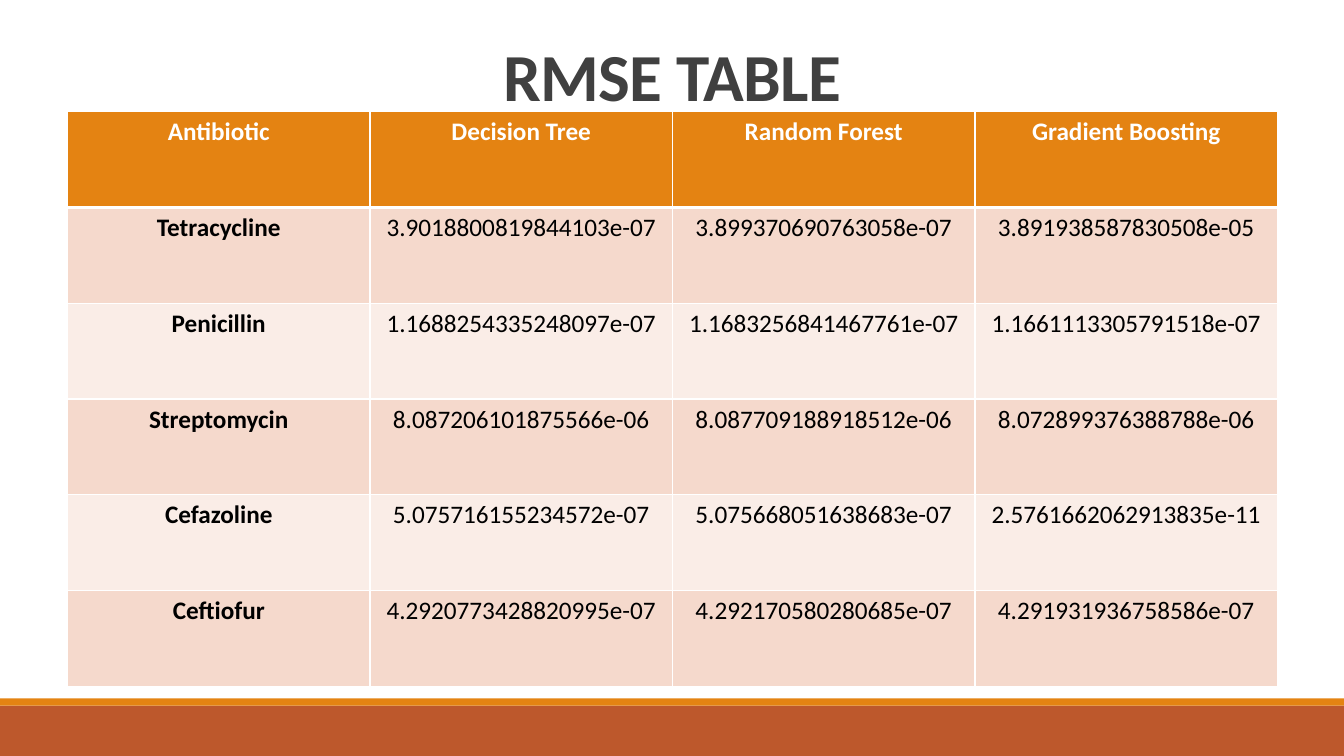
from lxml import etree
from pptx import Presentation
from pptx import util as u
from pptx.dml.color import RGBColor
from pptx.enum import shapes, text
from pptx.oxml import ns

COLORS = {"orange": "E48312", "rust": "BD582C", "dark": "404040",
          "white": "FFFFFF", "black": "000000",
          "band_odd": "F5D9CC", "band_even": "FAEDE7"}

RMSE_ROWS = [
    ("Antibiotic", "Decision Tree", "Random Forest", "Gradient Boosting"),
    ("Tetracycline", "3.9018800819844103e-07", "3.899370690763058e-07", "3.891938587830508e-05"),
    ("Penicillin", "1.1688254335248097e-07", "1.1683256841467761e-07", "1.1661113305791518e-07"),
    ("Streptomycin", "8.087206101875566e-06", "8.087709188918512e-06", "8.072899376388788e-06"),
    ("Cefazoline", "5.075716155234572e-07", "5.075668051638683e-07", "2.5761662062913835e-11"),
    ("Ceftiofur", "4.2920773428820995e-07", "4.292170580280685e-07", "4.291931936758586e-07"),
]


class SlideBuilder:
    """Holds the style and the current slide and adds each kind of element."""

    def __init__(self, prs, font="Calibri"):
        self.font = font
        self.s = prs.slides.add_slide(prs.slide_layouts[5])

    def color(self, name):
        return RGBColor.from_string(COLORS[name])

    def add_text(self, tf, words, color, line_spacing=None, **font):
        p = tf.paragraphs[0]
        p.alignment = text.PP_ALIGN.CENTER
        p.line_spacing = line_spacing
        r = p.add_run()
        r.text = words
        for name, value in {"name": self.font, **font}.items():
            setattr(r.font, name, value)
        r.font.color.rgb = self.color(color)
        return r

    def bar(self, top, height, color):
        sp = self.s.shapes.add_shape(shapes.MSO_SHAPE.RECTANGLE, 0, u.Inches(top),
                                     u.Inches(13.33), u.Inches(height))
        sp.shadow.inherit = False
        sp.fill.solid()
        sp.fill.fore_color.rgb = self.color(color)
        sp.line.fill.background()

    def title(self, words, left, top, width, height):
        sp = self.s.shapes.title
        place = {"left": left, "top": top, "width": width, "height": height}
        for name, value in place.items():
            setattr(sp, name, u.Inches(value))
        tf = sp.text_frame
        frame = {"word_wrap": True, "auto_size": text.MSO_AUTO_SIZE.NONE,
                 "vertical_anchor": text.MSO_ANCHOR.MIDDLE}
        for name, value in frame.items():
            setattr(tf, name, value)
        r = self.add_text(tf, words, "dark", 0.85, size=u.Pt(48), bold=True)
        r._r.get_or_add_rPr().set("spc", "-50")

    def borders(self, cell, widths):
        tc_pr = cell._tc.get_or_add_tcPr()
        for i, (side, width) in enumerate(widths.items()):
            ln = etree.Element(ns.qn(f"a:ln{side}"), w=str(u.Pt(width)))
            fill = etree.SubElement(ln, ns.qn("a:solidFill"))
            etree.SubElement(fill, ns.qn("a:srgbClr"), val=COLORS["white"])
            tc_pr.insert(i, ln)

    def table(self, rows, left, top, col_width, row_height):
        n_rows, n_cols = len(rows), len(rows[0])
        table = self.s.shapes.add_table(
            n_rows, n_cols, u.Inches(left), u.Inches(top),
            u.Inches(col_width * n_cols), u.Inches(row_height * n_rows)).table
        for i, row in enumerate(rows):
            fill = "orange" if i == 0 else "band_odd" if i % 2 else "band_even"
            for j, words in enumerate(row):
                cell = table.cell(i, j)
                cell.fill.solid()
                cell.fill.fore_color.rgb = self.color(fill)
                self.add_text(cell.text_frame, words, "black" if i else "white",
                              size=u.Pt(18), bold=i == 0 or j == 0)
                self.borders(cell, {"L": 1, "R": 1, "T": 3 if i == 1 else 1,
                                    "B": 1 if i else 3})


def main():
    prs = Presentation()
    prs.slide_width, prs.slide_height = u.Inches(13.33), u.Inches(7.5)
    slide = SlideBuilder(prs)
    slide.bar(7, 0.5, "rust")
    slide.bar(6.93, 0.07, "orange")
    slide.table(RMSE_ROWS, 0.67, 1.11, 3, 0.95)
    slide.title("RMSE TABLE", 1.17, 0.33, 11, 0.94)
    prs.save("out.pptx")


if __name__ == "__main__":
    main()
